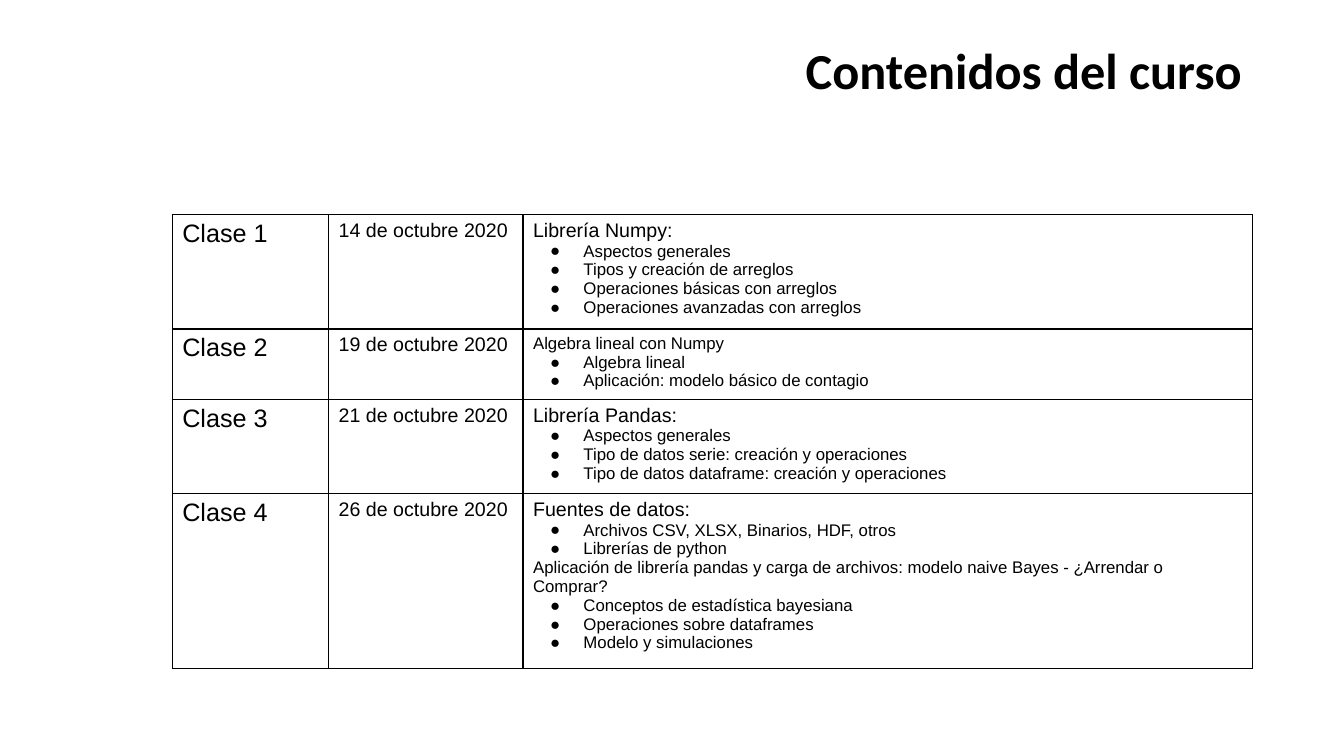
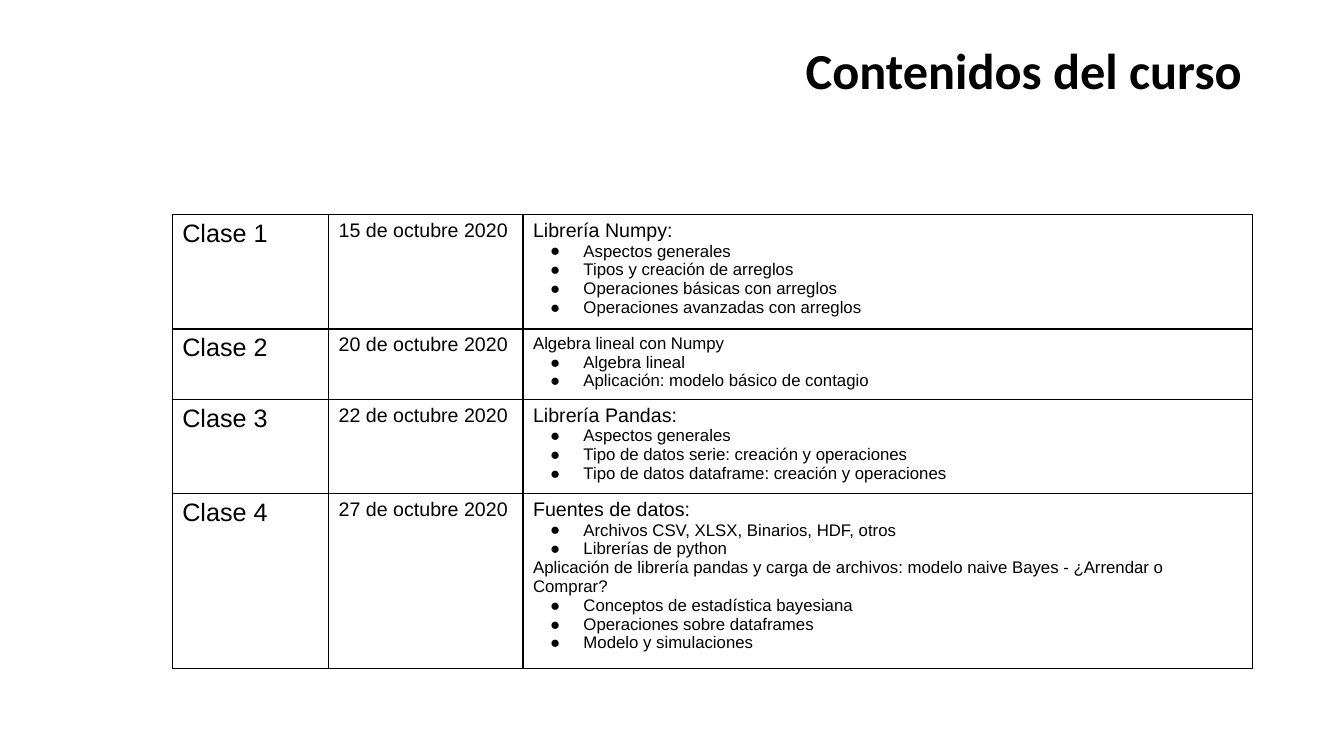
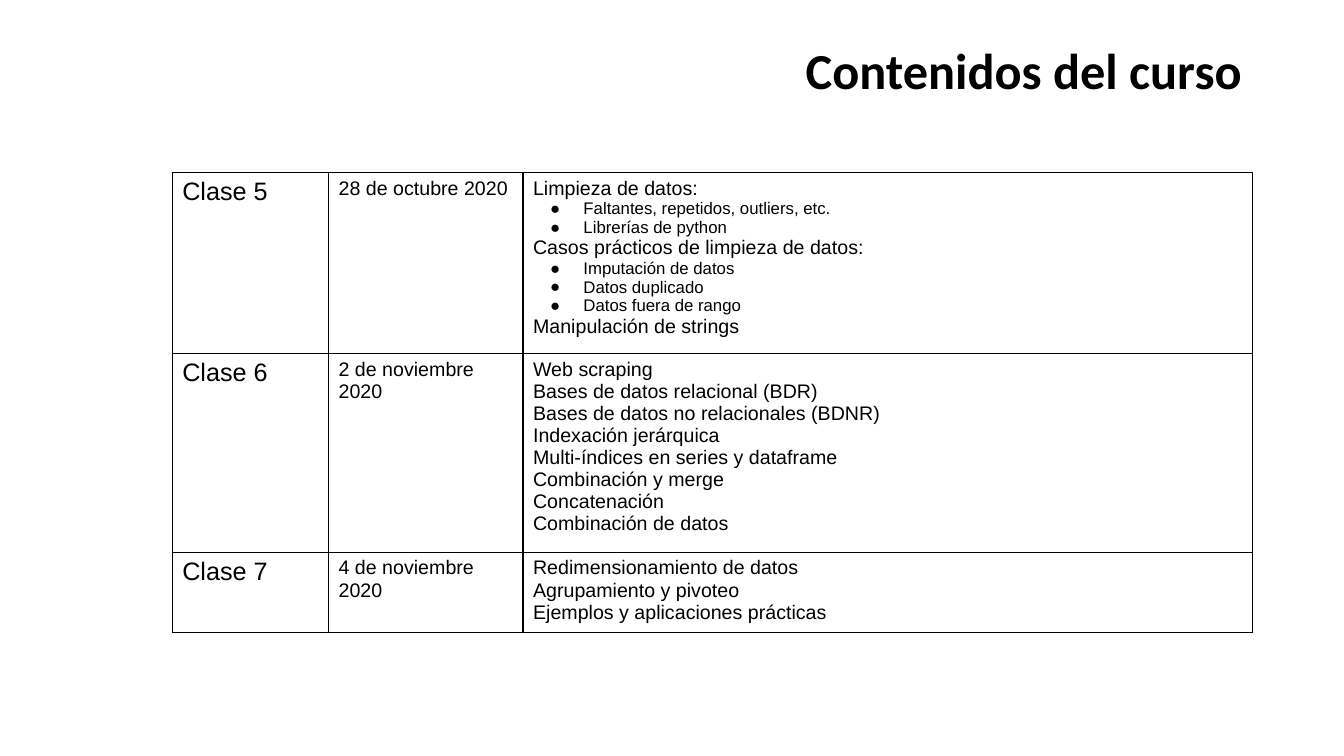
"""Build the course contents slides, one schedule table on each."""
from dataclasses import dataclass

from lxml import etree
from pptx import Presentation
from pptx.dml.color import RGBColor
from pptx.enum.text import MSO_ANCHOR, PP_ALIGN
from pptx.oxml.ns import qn
from pptx.util import Cm, Pt

RIGHT = PP_ALIGN.RIGHT
MIDDLE = MSO_ANCHOR.MIDDLE
BLANK_LAYOUT = 6


@dataclass(frozen=True)
class Theme:
    """Colours, fonts and sizes shared by all slides."""
    ink: str = "000000"
    paper: str = "FFFFFF"
    title_font: str = "Calibri"
    body_font: str = "Arial"
    title_size: int = 36
    class_size: int = 18
    topic_size: int = 14
    detail_size: int = 12
    border_width: int = 1


@dataclass(frozen=True)
class Topic:
    """A heading in a contents cell with its bulleted details."""
    heading: str
    details: tuple = ()
    small: bool = False


class Deck:
    """Holds the style and the current slide, and draws each element."""

    def __init__(self, theme):
        """Start an empty widescreen presentation."""
        self.theme = theme
        self.presentation = Presentation()
        self.presentation.slide_width = Cm(33.87)
        self.presentation.slide_height = Cm(19.05)
        self.slide = None

    def add_slide(self, title):
        """Add a blank slide with the shared title."""
        layout = self.presentation.slide_layouts[BLANK_LAYOUT]
        self.slide = self.presentation.slides.add_slide(layout)
        fill = self.slide.background.fill
        fill.solid()
        fill.fore_color.rgb = RGBColor.from_string(self.theme.paper)
        self.title(title)

    def title(self, text):
        """Draw the right-aligned slide title."""
        shape = self.slide.shapes.add_textbox(Cm(2.34), Cm(0.97), Cm(29.21), Cm(1.73))
        frame = shape.text_frame
        frame.word_wrap = True
        frame.vertical_anchor = MIDDLE
        frame.text = text
        paragraph = frame.paragraphs[0]
        paragraph.alignment = RIGHT
        paragraph.line_spacing = 0.9
        self.format_runs(paragraph, self.theme.title_font, self.theme.title_size, True)

    def schedule(self, top, classes):
        """Draw the table of classes, dates and topics."""
        theme = self.theme
        widths = (Cm(3.94), Cm(4.9), Cm(18.39))
        row_height = Cm(1.04)
        shape = self.slide.shapes.add_table(
            len(classes), len(widths), Cm(4.34), top, sum(widths), row_height * len(classes))
        table = shape.table
        table.first_row = False
        table.horz_banding = False
        for column, width in zip(table.columns, widths):
            column.width = width
        for row, (name, date, topics) in zip(table.rows, classes):
            class_cell, date_cell, topics_cell = row.cells
            self.cell(class_cell, [(name, theme.class_size, False)])
            self.cell(date_cell, [(date, theme.topic_size, False)])
            self.cell(topics_cell, self.topic_lines(topics))

    def topic_lines(self, topics):
        """Flatten topics into lines of text, size and bullet flag."""
        lines = []
        for topic in topics:
            size = self.theme.detail_size if topic.small else self.theme.topic_size
            lines.append((topic.heading, size, False))
            lines += [(detail, self.theme.detail_size, True) for detail in topic.details]
        return lines

    def cell(self, cell, lines):
        """Fill, border and write one table cell."""
        self.borders(cell)
        cell.fill.solid()
        cell.fill.fore_color.rgb = RGBColor.from_string(self.theme.paper)
        frame = cell.text_frame
        frame.text = "\n".join(text for text, _, _ in lines)
        for paragraph, (_, size, bulleted) in zip(frame.paragraphs, lines):
            self.format_runs(paragraph, self.theme.body_font, size)
            if bulleted:
                self.bullet(paragraph)

    def borders(self, cell):
        """Draw a thin line on the four sides of a cell."""
        properties = cell._tc.get_or_add_tcPr()
        for side in ("a:lnL", "a:lnR", "a:lnT", "a:lnB"):
            line = etree.SubElement(properties, qn(side), w=str(Pt(self.theme.border_width)))
            fill = etree.SubElement(line, qn("a:solidFill"))
            etree.SubElement(fill, qn("a:srgbClr"), val=self.theme.ink)

    def bullet(self, paragraph):
        """Give a paragraph a round bullet and a hanging indent."""
        properties = paragraph._p.get_or_add_pPr()
        properties.set("marL", str(Cm(1.27)))
        properties.set("indent", str(Cm(-0.84)))
        color = etree.SubElement(properties, qn("a:buClr"))
        etree.SubElement(color, qn("a:srgbClr"), val=self.theme.ink)
        etree.SubElement(properties, qn("a:buFont"), typeface=self.theme.body_font)
        etree.SubElement(properties, qn("a:buChar"), char="●")

    def format_runs(self, paragraph, font_name, size, bold=False):
        """Set the font of all runs in a paragraph."""
        for run in paragraph.runs:
            run.font.name = font_name
            run.font.size = Pt(size)
            run.font.bold = bold
            run.font.color.rgb = RGBColor.from_string(self.theme.ink)


TITLE = "Contenidos del curso"

FIRST_TOPICS = (
    (Topic("Librería Numpy:", (
        "Aspectos generales",
        "Tipos y creación de arreglos",
        "Operaciones básicas con arreglos",
        "Operaciones avanzadas con arreglos")),),
    (Topic("Algebra lineal con Numpy", (
        "Algebra lineal",
        "Aplicación: modelo básico de contagio"), small=True),),
    (Topic("Librería Pandas:", (
        "Aspectos generales",
        "Tipo de datos serie: creación y operaciones",
        "Tipo de datos dataframe: creación y operaciones")),),
    (Topic("Fuentes de datos:", (
        "Archivos CSV, XLSX, Binarios, HDF, otros",
        "Librerías de python")),
     Topic("Aplicación de librería pandas y carga de archivos: "
           "modelo naive Bayes - ¿Arrendar o Comprar?", (
               "Conceptos de estadística bayesiana",
               "Operaciones sobre dataframes",
               "Modelo y simulaciones"), small=True)),
)

LAST_CLASSES = (
    ("Clase 5", "28 de octubre 2020", (
        Topic("Limpieza de datos:", (
            "Faltantes, repetidos, outliers, etc.",
            "Librerías de python")),
        Topic("Casos prácticos de limpieza de datos:", (
            "Imputación de datos",
            "Datos duplicado",
            "Datos fuera de rango")),
        Topic("Manipulación de strings"))),
    ("Clase 6", "2 de noviembre 2020", (
        Topic("Web scraping"),
        Topic("Bases de datos relacional (BDR)"),
        Topic("Bases de datos no relacionales (BDNR)"),
        Topic("Indexación jerárquica"),
        Topic("Multi-índices en series y dataframe"),
        Topic("Combinación y merge"),
        Topic("Concatenación"),
        Topic("Combinación de datos"))),
    ("Clase 7", "4 de noviembre 2020", (
        Topic("Redimensionamiento de datos"),
        Topic("Agrupamiento y pivoteo"),
        Topic("Ejemplos y aplicaciones prácticas"))),
)


def first_classes(days):
    """Pair the first topics with the October days of one group."""
    return [(f"Clase {number}", f"{day} de octubre 2020", topics)
            for number, (day, topics) in enumerate(zip(days, FIRST_TOPICS), start=1)]


deck = Deck(Theme())
for group_days in ((14, 19, 21, 26), (15, 20, 22, 27)):
    deck.add_slide(TITLE)
    deck.schedule(Cm(5.41), first_classes(group_days))
deck.add_slide(TITLE)
deck.schedule(Cm(4.34), LAST_CLASSES)
deck.presentation.save("out.pptx")
